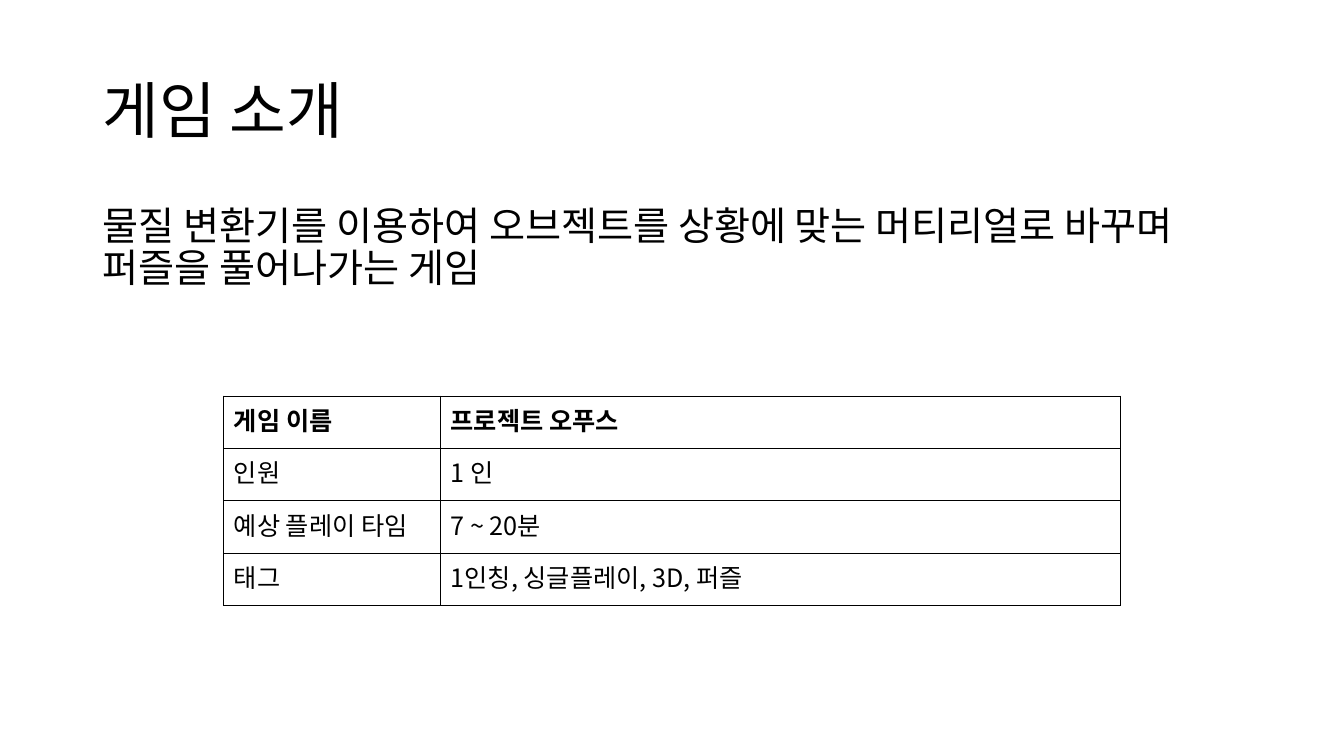
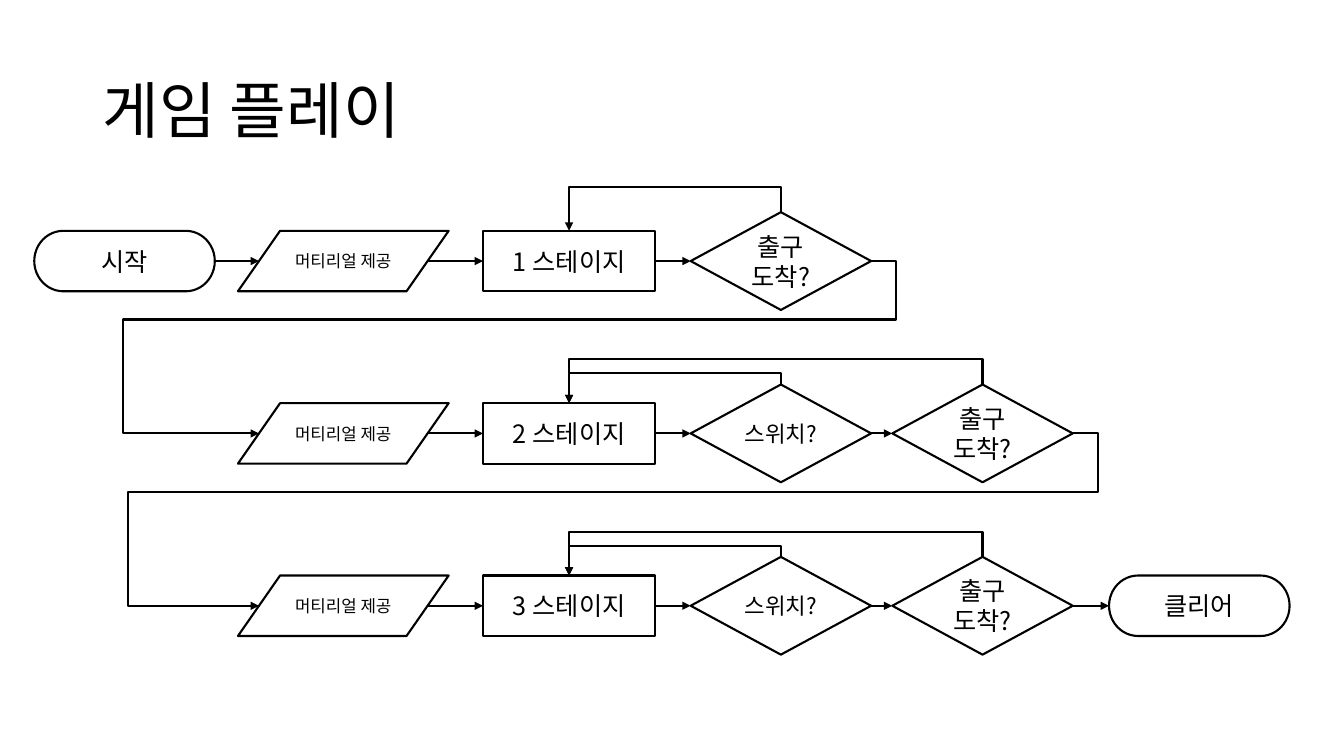
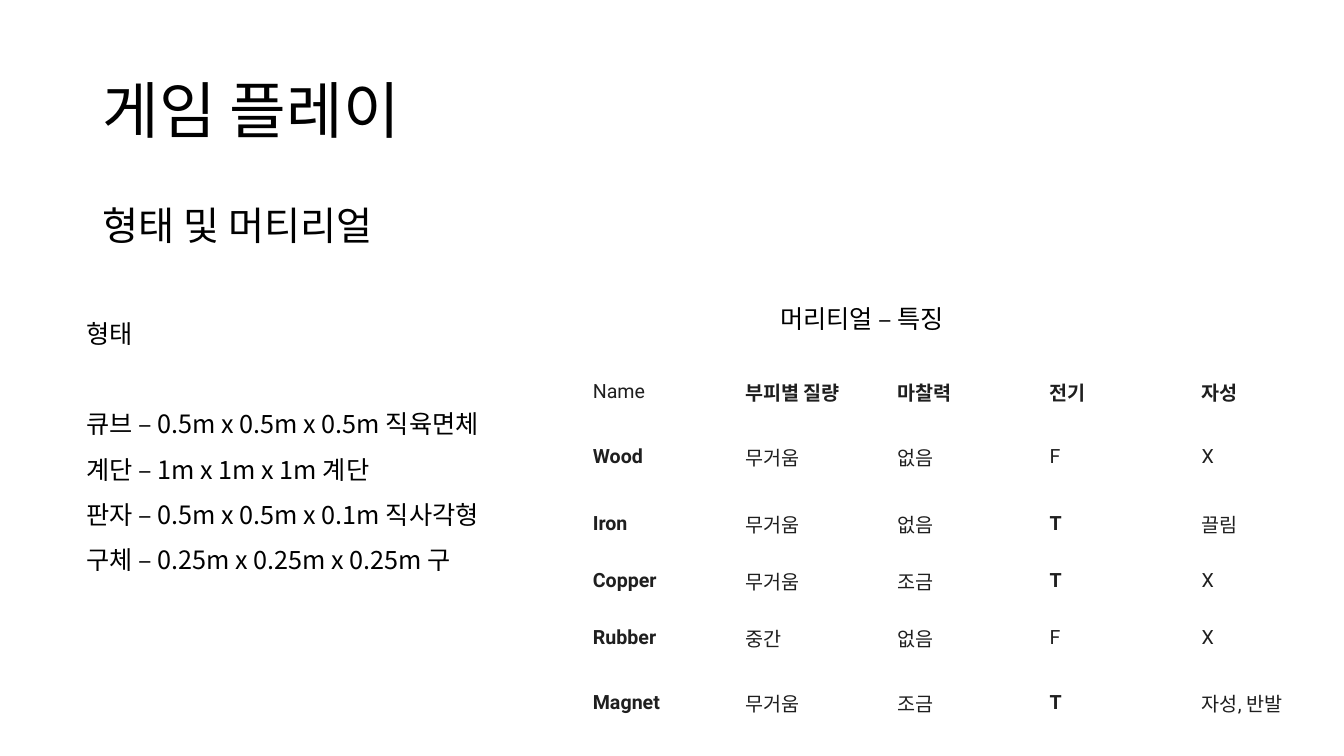
from dataclasses import dataclass
from itertools import pairwise

from lxml import etree
from pptx import Presentation
from pptx import util as u
from pptx.dml.color import RGBColor
from pptx.enum import shapes, text
from pptx.oxml.ns import qn


@dataclass(frozen=True)
class Theme:
    font: str = "Noto Sans CJK KR"
    table_font: str = "Roboto"
    ink: str = "000000"
    table_ink: str = "1F1F1F"
    paper: str = "FFFFFF"
    title: int = 44
    lead: int = 28
    body: int = 18
    switch: int = 16
    cell: int = 14
    small: int = 12
    line: float = 1.5


THEME = Theme()
WIDTH, HEIGHT = 13.33, 7.5
TITLE_BOX = (0.92, 0.4, 11.5, 1.45)
LEAD_BOX = (0.92, 2, 11.5, 4.76)

# Content
INTRO = "물질 변환기를 이용하여 오브젝트를 상황에 맞는 머티리얼로 바꾸며 퍼즐을 풀어나가는 게임"
GAME_FACTS = [
    ("게임 이름", "프로젝트 오푸스"),
    ("인원", "1 인"),
    ("예상 플레이 타임", "7 ~ 20분"),
    ("태그", "1인칭, 싱글플레이, 3D, 퍼즐"),
]
FORMS = [
    "큐브 – 0.5m x 0.5m x 0.5m 직육면체",
    "계단 – 1m x 1m x 1m 계단",
    "판자 – 0.5m x 0.5m x 0.1m 직사각형",
    "구체 – 0.25m x 0.25m x 0.25m 구",
]
MATERIALS = [
    ("Name", "부피별 질량", "마찰력", "전기", "자성"),
    ("Wood", "무거움", "없음", "F", "X"),
    ("Iron", "무거움", "없음", "T", "끌림"),
    ("Copper", "무거움", "조금", "T", "X"),
    ("Rubber", "중간", "없음", "F", "X"),
    ("Magnet", "무거움", "조금", "T", "자성, 반발"),
]

# Flow chart: step name -> left edge, kind, lines, type size
KINDS = {  # preset, width, height
    "end": (shapes.MSO_SHAPE.FLOWCHART_TERMINATOR, 1.79, 0.6),
    "input": (shapes.MSO_SHAPE.FLOWCHART_DATA, 2.09, 0.6),
    "process": (shapes.MSO_SHAPE.FLOWCHART_PROCESS, 1.71, 0.6),
    "decision": (shapes.MSO_SHAPE.FLOWCHART_DECISION, 1.79, 0.97),
}
EXIT = ["출구", "도착?"]
STEPS = {
    "start": (0.34, "end", ["시작"], THEME.body),
    "material": (2.36, "input", ["머티리얼 제공"], THEME.small),
    "stage": (4.79, "process", ["{} 스테이지"], THEME.body),
    "first exit": (6.85, "decision", EXIT, THEME.body),
    "switch": (6.85, "decision", ["스위치?"], THEME.switch),
    "exit": (8.85, "decision", EXIT, THEME.body),
    "clear": (11, "end", ["클리어"], THEME.body),
}
STAGES = [
    ("start", "material", "stage", "first exit"),
    ("material", "stage", "switch", "exit"),
    ("material", "stage", "switch", "exit", "clear"),
]
LOOP_RISE = {"first exit": 0.25, "exit": 0.25, "switch": 0.11}
FIRST_ROW, ROW_PITCH = 2.59, 1.71
WRAP_LEFT = (1.22, 1.27)
WRAP_OUT, WRAP_DROP = 0.25, 0.58


def inches(*values):
    return [u.Inches(value) for value in values]


def color(value):
    return RGBColor.from_string(value)


def write(frame, lines, *, size=THEME.body, font=THEME.font, ink=THEME.ink, bold=False,
          align=None, spacing=None, anchor=None, margins=None, first_after=None):
    frame.word_wrap = True
    if anchor is not None:
        frame.vertical_anchor = anchor
    if margins is not None:
        (frame.margin_left, frame.margin_top,
         frame.margin_right, frame.margin_bottom) = inches(*margins)
    for index, line in enumerate(lines):
        paragraph = frame.add_paragraph() if index else frame.paragraphs[0]
        paragraph.alignment = align
        if spacing:
            paragraph.line_spacing = spacing
        if first_after and index == 0:
            paragraph.space_after = u.Pt(first_after)
        run = paragraph.add_run()
        run.text = line
        run.font.name, run.font.size, run.font.bold = font, u.Pt(size), bold
        run.font.color.rgb = color(ink)
        east_asian = etree.SubElement(run.font._element, qn("a:ea"))
        east_asian.set("typeface", THEME.font)


def add_text(slide, box, lines, **style):
    write(slide.shapes.add_textbox(*inches(*box)).text_frame, lines, **style)


def new_slide(presentation, title, lead=None):
    slide = presentation.slides.add_slide(presentation.slide_layouts[6])
    add_text(slide, TITLE_BOX, [title], size=THEME.title, spacing=0.9,
             anchor=text.MSO_ANCHOR.MIDDLE)
    if lead:
        add_text(slide, LEAD_BOX, [lead], size=THEME.lead, spacing=0.9)
    return slide


def add_table(slide, left, top, columns, heights, rows, *, border, border_width,
              cell_style, fill=None, margins=None, anchor=None):
    table = slide.shapes.add_table(
        len(rows), len(columns),
        *inches(left, top, sum(columns), sum(heights))).table
    table.first_row = table.horz_banding = False
    for column, width in zip(table.columns, columns):
        column.width = u.Inches(width)
    for row_index, (row, height) in enumerate(zip(rows, heights)):
        table.rows[row_index].height = u.Inches(height)
        for column_index, value in enumerate(row):
            cell = table.cell(row_index, column_index)
            write(cell.text_frame, [value], **cell_style(row_index, column_index, value))
            if anchor is not None:
                cell.vertical_anchor = anchor
            if margins:
                (cell.margin_left, cell.margin_top,
                 cell.margin_right, cell.margin_bottom) = inches(*margins)
            properties = cell._tc.get_or_add_tcPr()
            for side in ("a:lnL", "a:lnR", "a:lnT", "a:lnB"):
                edge = etree.SubElement(properties, qn(side), w=str(u.Pt(border_width)))
                solid = etree.SubElement(edge, qn("a:solidFill"))
                etree.SubElement(solid, qn("a:srgbClr"), val=border)
            if fill:
                cell.fill.solid()
                cell.fill.fore_color.rgb = color(fill)
            else:
                cell.fill.background()


def add_step(slide, name, number, middle):
    left, kind, lines, size = STEPS[name]
    preset, width, height = KINDS[kind]
    shape = slide.shapes.add_shape(
        preset, *inches(left, middle - height / 2, width, height))
    shape.shadow.inherit = False
    shape.fill.solid()
    shape.fill.fore_color.rgb = color(THEME.paper)
    shape.line.color.rgb = color(THEME.ink)
    shape.line.width = u.Pt(THEME.line)
    write(shape.text_frame, [line.format(number) for line in lines], size=size,
          align=text.PP_ALIGN.CENTER, anchor=text.MSO_ANCHOR.MIDDLE, margins=(0, 0, 0, 0))
    return shape


def side_ports(name):
    """Left and right ends of a step; a slanted side is met a tenth of the way in."""
    left, kind = STEPS[name][:2]
    width = KINDS[kind][1]
    inset = width / 10 if kind == "input" else 0
    return left + inset, left + width - inset


def add_arrow(slide, begin, end, kind=shapes.MSO_CONNECTOR.STRAIGHT):
    arrow = slide.shapes.add_connector(kind, *inches(*begin, *end))
    arrow.line.color.rgb = color(THEME.ink)
    arrow.line.width = u.Pt(THEME.line)
    etree.SubElement(arrow.line._get_or_add_ln(), qn("a:tailEnd"), type="triangle")
    etree.SubElement(arrow._element.spPr, qn("a:effectLst"))
    return arrow


def bend(arrow, preset, *shares):
    geometry = arrow._element.spPr.find(qn("a:prstGeom"))
    geometry.set("prst", preset)
    guides = geometry.find(qn("a:avLst"))
    if guides is None:
        guides = etree.SubElement(geometry, qn("a:avLst"))
    for index, share in enumerate(shares, 1):
        etree.SubElement(guides, qn("a:gd"), name=f"adj{index}",
                         fmla=f"val {round(share * 100000)}")


def add_wrap(slide, begin, end, far_left):
    """From the end of one row, round below it, to the start of the next."""
    arrow = add_arrow(slide, begin, end, shapes.MSO_CONNECTOR.ELBOW)
    span = begin[0] - end[0]
    bend(arrow, "bentConnector5", -WRAP_OUT / span, WRAP_DROP / (end[1] - begin[1]),
         (begin[0] - far_left) / span)


def add_loop(slide, begin, end, rise):
    """Up from a decision, back to the left and down onto the stage."""
    arrow = add_arrow(slide, begin, end, shapes.MSO_CONNECTOR.ELBOW)
    across, down = begin[0] - end[0], end[1] - begin[1]
    center_x, center_y = (begin[0] + end[0]) / 2, (begin[1] + end[1]) / 2
    arrow.left, arrow.top, arrow.width, arrow.height = inches(
        center_x - down / 2, center_y - across / 2, down, across)
    frame = arrow._element.spPr.find(qn("a:xfrm"))
    for key, value in (("rot", "16200000"), ("flipH", "1"), ("flipV", "1")):
        frame.set(key, value)
    bend(arrow, "bentConnector3", -rise / down)


def build_intro(presentation):
    slide = new_slide(presentation, "게임 소개", INTRO)
    add_table(slide, 2.22, 3.93, [2.15, 6.74], [0.52] * len(GAME_FACTS), GAME_FACTS,
              border=THEME.ink, border_width=1, fill=THEME.paper,
              cell_style=lambda row, column, value: {"bold": row == 0})


def build_flow(presentation):
    slide = new_slide(presentation, "게임 플레이")
    stage_left, stage_kind = STEPS["stage"][:2]
    _, stage_width, stage_height = KINDS[stage_kind]
    stage_x = stage_left + stage_width / 2
    for index, names in enumerate(STAGES):
        middle = FIRST_ROW + index * ROW_PITCH
        steps = [add_step(slide, name, index + 1, middle) for name in names]
        # Arrows along the row
        for (name, shape), (next_name, next_shape) in pairwise(zip(names, steps)):
            arrow = add_arrow(slide, (side_ports(name)[1], middle),
                              (side_ports(next_name)[0], middle))
            if name != "material":
                arrow.begin_connect(shape, 3)
            if next_name != "material":
                arrow.end_connect(next_shape, 1)
        # Loops back to the stage
        for name in names:
            if name in LOOP_RISE:
                left, kind = STEPS[name][:2]
                _, width, height = KINDS[kind]
                add_loop(slide, (left + width / 2, middle - height / 2),
                         (stage_x, middle - stage_height / 2), LOOP_RISE[name])
        # On to the next row
        if index < len(WRAP_LEFT):
            add_wrap(slide, (side_ports(names[-1])[1], middle),
                     (side_ports("material")[0], middle + ROW_PITCH), WRAP_LEFT[index])


def material_style(row, column, value):
    heading = (row == 0) != (column == 0)
    return {"size": THEME.cell, "font": THEME.table_font, "ink": THEME.table_ink,
            "bold": heading or value == "T"}


def build_materials(presentation):
    slide = new_slide(presentation, "게임 플레이", "형태 및 머티리얼")
    add_text(slide, (0.76, 2.96, 4.93, 2.77), ["형태", *FORMS], spacing=1.5, first_after=32)
    add_text(slide, (7.64, 2.96, 3.81, 0.4), ["머리티얼 – 특징"])
    add_table(slide, 5.76, 3.56, [1.51] * 5, [0.65, 0.65, 0.67, 0.47, 0.65, 0.65], MATERIALS,
              border=THEME.paper, border_width=0.75, cell_style=material_style,
              margins=(0.12, 0.08, 0.12, 0.08), anchor=text.MSO_ANCHOR.MIDDLE)


def main():
    presentation = Presentation()
    presentation.slide_width, presentation.slide_height = inches(WIDTH, HEIGHT)
    for build in (build_intro, build_flow, build_materials):
        build(presentation)
    presentation.save("out.pptx")


if __name__ == "__main__":
    main()
